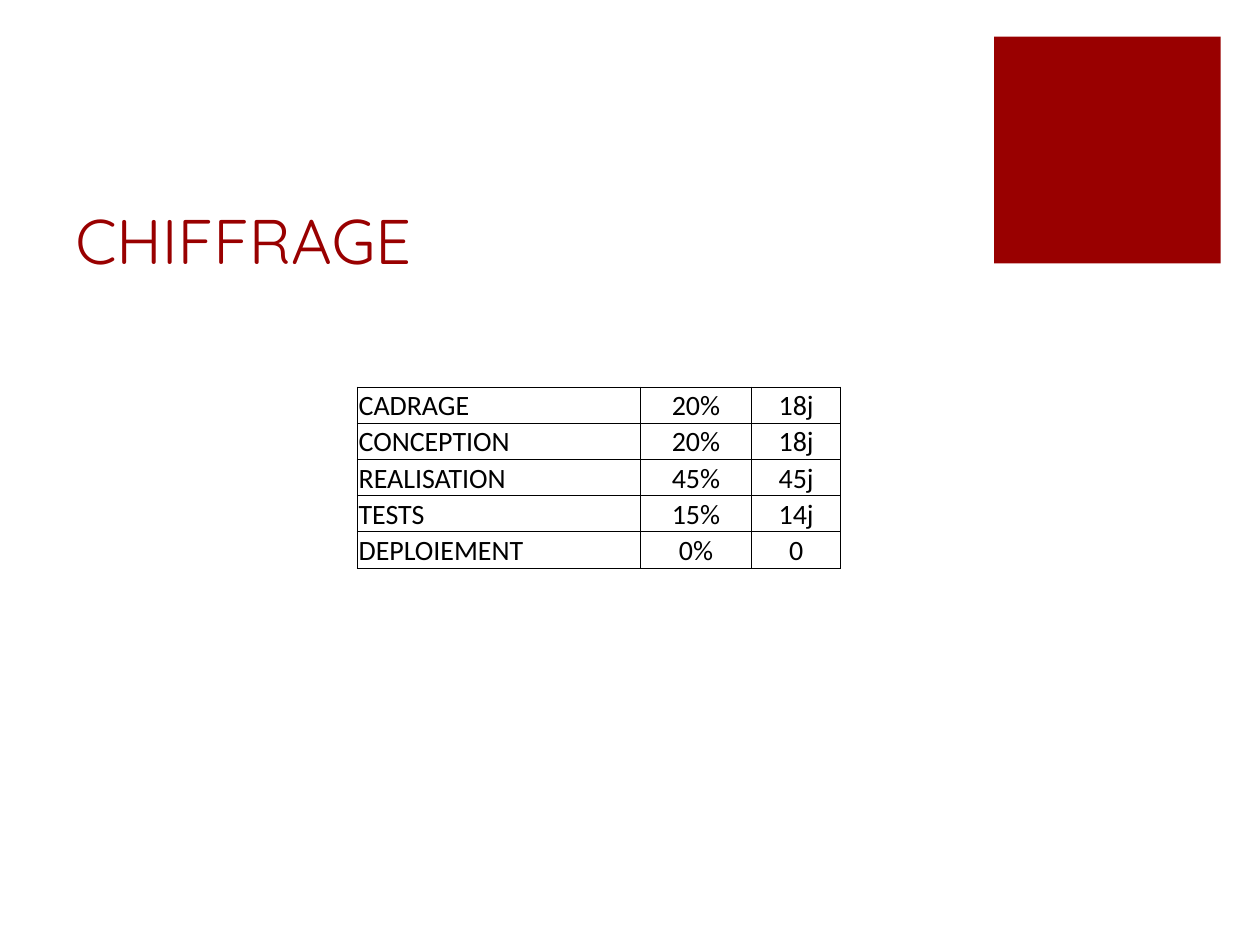
"""Build the CHIFFRAGE slide with its table of phases, shares and days."""
from dataclasses import dataclass
from typing import NamedTuple

from lxml.etree import fromstring
from pptx import Presentation
from pptx.dml.color import RGBColor
from pptx.enum.shapes import MSO_SHAPE
from pptx.enum.text import MSO_ANCHOR, PP_ALIGN
from pptx.oxml.ns import nsdecls
from pptx.util import Cm, Pt


@dataclass(frozen=True)
class Theme:
    red: str = "990000"
    black: str = "000000"
    white: str = "FFFFFF"
    head: str = "Quicksand"
    body: str = "Calibri"
    big: float = 36
    small: float = 16
    rule: float = 0.5


class Phase(NamedTuple):
    name: str
    share: str
    days: str


THEME = Theme()
PHASES = [
    Phase("CADRAGE", "20%", "18j"),
    Phase("CONCEPTION", "20%", "18j"),
    Phase("REALISATION", "45%", "45j"),
    Phase("TESTS", "15%", "14j"),
    Phase("DEPLOIEMENT", "0%", "0"),
]
WIDTHS = [5.71, 2.24, 1.8]
HEIGHT = 0.73


def write(frame, text: str, *, font: str, size: float, color: str,
          align=PP_ALIGN.LEFT) -> None:
    para = frame.paragraphs[0]
    para.alignment = align
    run = para.add_run()
    run.text = text
    run.font.name = font
    run.font.size = Pt(size)
    run.font.color.rgb = RGBColor.from_string(color)


def border(cell) -> None:
    props = cell._tc.get_or_add_tcPr()
    for spot, side in enumerate("LRTB"):
        props.insert(spot, fromstring(
            f'<a:ln{side} {nsdecls("a")} w="{Pt(THEME.rule)}"><a:solidFill>'
            f'<a:srgbClr val="{THEME.black}"/></a:solidFill></a:ln{side}>'))


def add_block(slide) -> None:
    block = slide.shapes.add_shape(
        MSO_SHAPE.RECTANGLE, Cm(20.04), Cm(0.74), Cm(4.57), Cm(4.57))
    block.shadow.inherit = False
    block.fill.solid()
    block.fill.fore_color.rgb = RGBColor.from_string(THEME.red)
    block.line.fill.background()


def add_title(slide) -> None:
    frame = slide.shapes.add_textbox(
        Cm(1.27), Cm(2.54), Cm(18.08), Cm(3.18)).text_frame
    frame.word_wrap = True
    frame.vertical_anchor = MSO_ANCHOR.BOTTOM
    write(frame, "CHIFFRAGE", font=THEME.head, size=THEME.big, color=THEME.red)


def add_grid(slide) -> None:
    table = slide.shapes.add_table(
        len(PHASES), len(WIDTHS), Cm(7.2), Cm(7.8),
        Cm(sum(WIDTHS)), Cm(HEIGHT * len(PHASES))).table
    table.first_row = table.horz_banding = False
    for column, width in zip(table.columns, WIDTHS):
        column.width = Cm(width)
    for row, phase in zip(table.rows, PHASES):
        row.height = Cm(HEIGHT)
        for index, (cell, text) in enumerate(zip(row.cells, phase)):
            cell.margin_left = cell.margin_right = cell.margin_top = Cm(0.03)
            cell.margin_bottom = Cm(0)
            cell.vertical_anchor = MSO_ANCHOR.BOTTOM
            cell.fill.background()
            border(cell)
            write(cell.text_frame, text, font=THEME.body, size=THEME.small,
                  color=THEME.black,
                  align=PP_ALIGN.CENTER if index else PP_ALIGN.LEFT)


def main() -> None:
    deck = Presentation()
    deck.slide_width, deck.slide_height = Cm(25.4), Cm(19.05)
    slide = deck.slides.add_slide(deck.slide_layouts[6])
    slide.background.fill.solid()
    slide.background.fill.fore_color.rgb = RGBColor.from_string(THEME.white)
    add_block(slide)
    add_title(slide)
    add_grid(slide)
    deck.save("out.pptx")


main()
